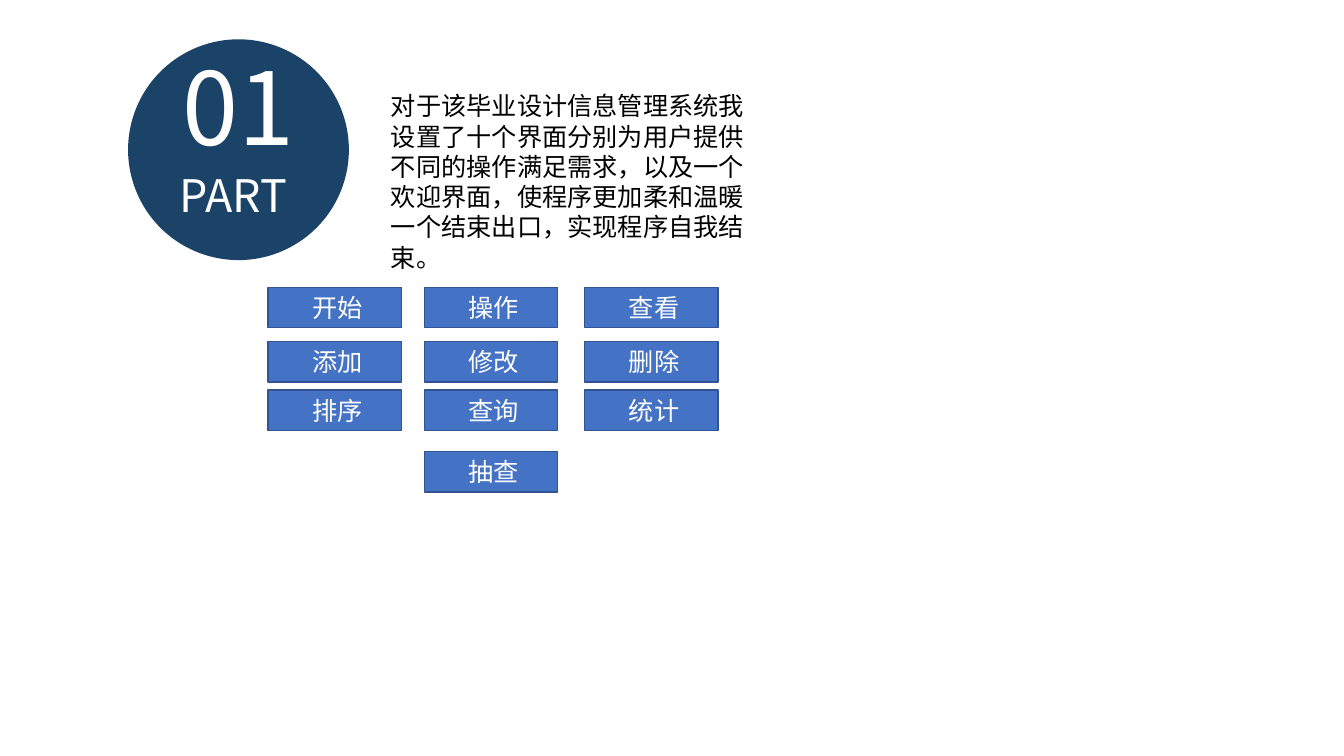
from dataclasses import dataclass

from lxml.etree import SubElement
from pptx import Presentation
from pptx.dml.color import RGBColor
from pptx.enum.shapes import MSO_SHAPE as Preset
from pptx.enum.text import MSO_ANCHOR as Anchor, MSO_AUTO_SIZE as AutoSize, PP_ALIGN as Align
from pptx.oxml.ns import qn
from pptx.util import Inches, Pt


@dataclass(frozen=True)
class Theme:
    font: str = "Noto Sans CJK SC"
    navy: RGBColor = RGBColor(0x1B, 0x43, 0x67)
    blue: RGBColor = RGBColor(0x44, 0x72, 0xC4)
    outline: RGBColor = RGBColor(0x32, 0x54, 0x91)
    white: RGBColor = RGBColor(0xFF, 0xFF, 0xFF)
    black: RGBColor = RGBColor(0, 0, 0)
    number_size: int = 72
    part_size: int = 32
    body_size: int = 18


theme = Theme()


def format_paragraph(paragraph, size, color, align=None):
    paragraph.alignment = align
    for run in paragraph.runs:
        run.font.name = theme.font
        run.font.size = Pt(size)
        run.font.color.rgb = color
        # Chinese characters take the East Asian typeface
        SubElement(run.font._element, qn("a:ea"), typeface=theme.font)


def add_text_box(left, top, width, height, text):
    box = slide.shapes.add_textbox(Inches(left), Inches(top), Inches(width), Inches(height))
    box.text_frame.word_wrap = True
    box.text_frame.auto_size = AutoSize.SHAPE_TO_FIT_TEXT
    box.text_frame.text = text
    return box.text_frame.paragraphs


presentation = Presentation()
presentation.slide_width = Inches(13.33)
presentation.slide_height = Inches(7.5)
slide = presentation.slides.add_slide(presentation.slide_layouts[6])

# Section badge
badge = slide.shapes.add_shape(Preset.OVAL, Inches(1.27), Inches(0.39), Inches(2.19), Inches(2.19))
badge.shadow.inherit = False
badge.fill.solid()
badge.fill.fore_color.rgb = theme.navy
badge.line.fill.background()

badge_lines = add_text_box(1.1, 1.04, 2.53, 1.2, "01\nPART ")
for paragraph, size in zip(badge_lines, (theme.number_size, theme.part_size)):
    paragraph.line_spacing = Pt(40)
    format_paragraph(paragraph, size, theme.white, Align.CENTER)

# Introduction
introduction = add_text_box(
    3.78, 0.85, 3.9, 1.92,
    "对于该毕业设计信息管理系统我设置了十个界面分别为用户提供不同的操作满足需求，"
    "以及一个欢迎界面，使程序更加柔和温暖\n"
    "一个结束出口，实现程序自我结束。")
for paragraph in introduction:
    format_paragraph(paragraph, theme.body_size, theme.black)

# Grid of screens, one row per entry
column_lefts = (2.66, 4.21, 5.8)
screen_rows = (
    (2.85, ("开始", "操作", "查看")),
    (3.39, ("添加", "修改", "删除")),
    (3.87, ("排序", "查询", "统计")),
    (4.48, (None, "抽查", None)),
)
for top, names in screen_rows:
    for left, name in zip(column_lefts, names):
        if name is None:
            continue
        button = slide.shapes.add_shape(
            Preset.RECTANGLE, Inches(left), Inches(top), Inches(1.32), Inches(0.4))
        button.shadow.inherit = False
        button.fill.solid()
        button.fill.fore_color.rgb = theme.blue
        button.line.color.rgb = theme.outline
        button.line.width = Pt(1)
        button.text_frame.vertical_anchor = Anchor.MIDDLE
        button.text_frame.text = f" {name}"
        format_paragraph(button.text_frame.paragraphs[0], theme.body_size, theme.white, Align.CENTER)

presentation.save("out.pptx")
